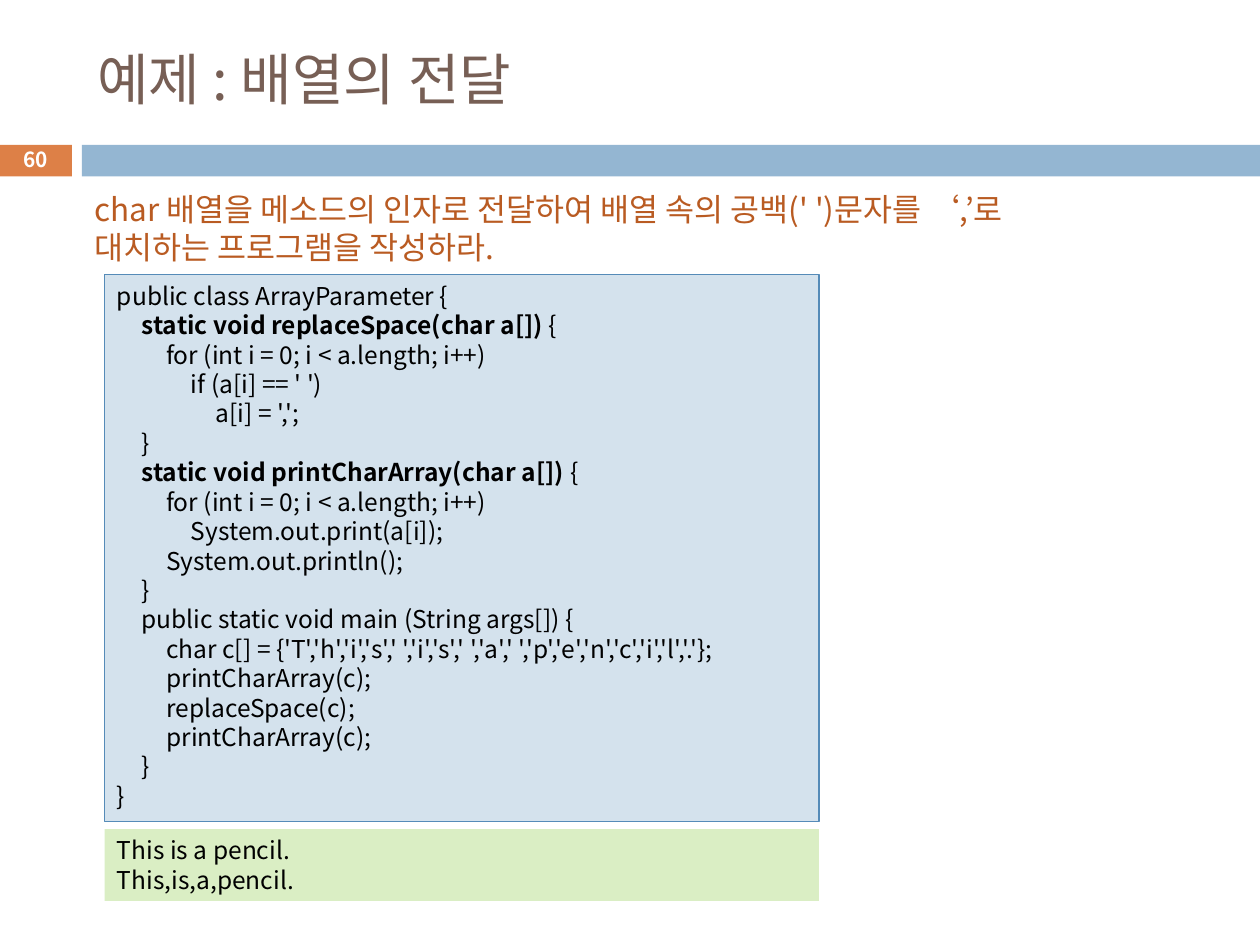
from dataclasses import dataclass
from typing import Optional

from lxml.etree import SubElement
from pptx import Presentation
from pptx.dml.color import RGBColor
from pptx.enum.shapes import MSO_SHAPE
from pptx.enum.text import MSO_ANCHOR as Anchor, MSO_AUTO_SIZE as AutoSize, PP_ALIGN as Align
from pptx.oxml.ns import qn
from pptx.util import Pt

FONT = "Noto Sans CJK KR"
BLACK = RGBColor(0x00, 0x00, 0x00)
WHITE = RGBColor(0xFF, 0xFF, 0xFF)
BROWN = RGBColor(0x77, 0x5F, 0x55)
RUST = RGBColor(0xB9, 0x5B, 0x22)
ORANGE = RGBColor(0xDD, 0x80, 0x47)
BLUE = RGBColor(0x94, 0xB6, 0xD2)
PALE_BLUE = RGBColor(0xD4, 0xE2, 0xED)
EDGE_BLUE = RGBColor(0x55, 0x8B, 0xB8)
PALE_GREEN = RGBColor(0xDA, 0xEE, 0xC4)
TAB_STEP = 14.1
CODE_SIZE = 14


@dataclass
class Box:
    left: float
    top: float
    width: float
    height: float
    fill: Optional[RGBColor] = None
    line: Optional[RGBColor] = None


@dataclass
class CodeLine:
    depth: int
    text: str
    bold: str = ""


NUMBER_BAR = Box(-0.72, 82.8, 41.76, 18, ORANGE)
TITLE_BAR = Box(46.8, 82.8, 673.2, 18, BLUE)
TITLE = Box(48.24, 18, 642.24, 53.28)
QUESTION = Box(46.8, 105.12, 578.16, 51.12)
NUMBER = Box(-0.72, 81.36, 41.76, 19.44)
CODE = Box(59.76, 156.96, 408.24, 312.48, PALE_BLUE, EDGE_BLUE)
OUTPUT = Box(59.76, 473.76, 408.24, 41.04, PALE_GREEN)

CODE_LINES = [
    CodeLine(0, "public class ArrayParameter {"),
    CodeLine(1, "{", bold="static void replaceSpace(char a[]) "),
    CodeLine(2, "for (int i = 0; i < a.length; i++)"),
    CodeLine(3, "if (a[i] == ' ')"),
    CodeLine(4, "a[i] = ',';"),
    CodeLine(1, "}"),
    CodeLine(1, "{", bold="static void printCharArray(char a[]) "),
    CodeLine(2, "for (int i = 0; i < a.length; i++)"),
    CodeLine(3, "System.out.print(a[i]);"),
    CodeLine(2, "System.out.println();"),
    CodeLine(1, "}"),
    CodeLine(1, "public static void main (String args[]) {"),
    CodeLine(2, "char c[] = {'T','h','i','s',' ','i','s',' ','a',' ','p','e','n','c','i','l','.'};"),
    CodeLine(2, "printCharArray(c);"),
    CodeLine(2, "replaceSpace(c);"),
    CodeLine(2, "printCharArray(c);"),
    CodeLine(1, "}"),
    CodeLine(0, "}"),
]
OUTPUT_LINES = [CodeLine(0, "This is a pencil."), CodeLine(0, "This,is,a,pencil.")]


def place(shape, box: Box) -> None:
    shape.left, shape.top = Pt(box.left), Pt(box.top)
    shape.width, shape.height = Pt(box.width), Pt(box.height)


def add_rectangle(slide, box: Box):
    shape = slide.shapes.add_shape(
        MSO_SHAPE.RECTANGLE, Pt(box.left), Pt(box.top), Pt(box.width), Pt(box.height))
    shape.shadow.inherit = False
    shape.fill.solid()
    shape.fill.fore_color.rgb = box.fill
    if box.line is None:
        shape.line.fill.background()
    else:
        shape.line.color.rgb = box.line
        shape.line.width = Pt(0.75)
    return shape


def style(paragraph, size: float, color: RGBColor, align: Align = Align.LEFT,
          bold: bool = False) -> None:
    """Set alignment and the Latin and East Asian font of a paragraph."""
    paragraph.alignment = align
    font = paragraph.font
    font.size, font.bold, font.name = Pt(size), bold, FONT
    font.color.rgb = color
    properties = paragraph._p.get_or_add_pPr().get_or_add_defRPr()
    SubElement(properties, qn("a:ea"), typeface=FONT)


def add_tab_stops(paragraph, count: int) -> None:
    tabs = SubElement(paragraph._p.get_or_add_pPr(), qn("a:tabLst"))
    for step in range(1, count + 1):
        SubElement(tabs, qn("a:tab"), pos=str(Pt(TAB_STEP * step)), algn="l")


def add_listing(slide, box: Box, lines: list[CodeLine]) -> None:
    frame = add_rectangle(slide, box).text_frame
    frame.word_wrap = True
    frame.vertical_anchor = Anchor.TOP
    for index, line in enumerate(lines):
        paragraph = frame.paragraphs[0] if index == 0 else frame.add_paragraph()
        if line.depth:
            add_tab_stops(paragraph, line.depth)
        style(paragraph, CODE_SIZE, BLACK)
        paragraph.line_spacing = Pt(16.8)
        if line.bold:
            paragraph.add_run().text = "\t" * line.depth
            run = paragraph.add_run()
            run.text = line.bold
            run.font.bold = True
            paragraph.add_run().text = line.text
        else:
            paragraph.add_run().text = "\t" * line.depth + line.text


def fill_placeholder(shape, box: Box, text: str, size: float, color: RGBColor,
                     anchor: Anchor):
    place(shape, box)
    frame = shape.text_frame
    frame.text = text
    frame.word_wrap = True
    frame.auto_size = AutoSize.NONE
    frame.vertical_anchor = anchor
    paragraph = frame.paragraphs[0]
    properties = paragraph._p.get_or_add_pPr()
    properties.set("marL", "0")
    properties.set("indent", "0")
    SubElement(properties, qn("a:buNone"))
    style(paragraph, size, color)
    paragraph.space_before = Pt(0)
    return paragraph


def add_slide_number(slide, box: Box, text: str) -> None:
    shape = slide.shapes.add_textbox(
        Pt(box.left), Pt(box.top), Pt(box.width), Pt(box.height))
    frame = shape.text_frame
    frame.word_wrap = True
    frame.vertical_anchor = Anchor.MIDDLE
    frame.margin_top = frame.margin_bottom = 0
    frame.text = text
    style(frame.paragraphs[0], 11.9, WHITE, Align.CENTER, bold=True)


def main() -> None:
    presentation = Presentation()
    presentation.slide_width, presentation.slide_height = Pt(720), Pt(540)
    slide = presentation.slides.add_slide(presentation.slide_layouts[1])

    add_rectangle(slide, NUMBER_BAR)
    add_rectangle(slide, TITLE_BAR)
    fill_placeholder(slide.shapes.title, TITLE, "예제 : 배열의 전달", 32, BROWN, Anchor.MIDDLE)
    add_listing(slide, CODE, CODE_LINES)
    add_listing(slide, OUTPUT, OUTPUT_LINES)
    add_slide_number(slide, NUMBER, "60")
    question = fill_placeholder(
        slide.placeholders[1], QUESTION,
        "char 배열을 메소드의 인자로 전달하여 배열 속의 공백(' ')문자를 ‘,’로 대치하는 프로그램을 작성하라.",
        18, RUST, Anchor.TOP)
    question.line_spacing = Pt(21.7)

    presentation.save("out.pptx")


if __name__ == "__main__":
    main()
